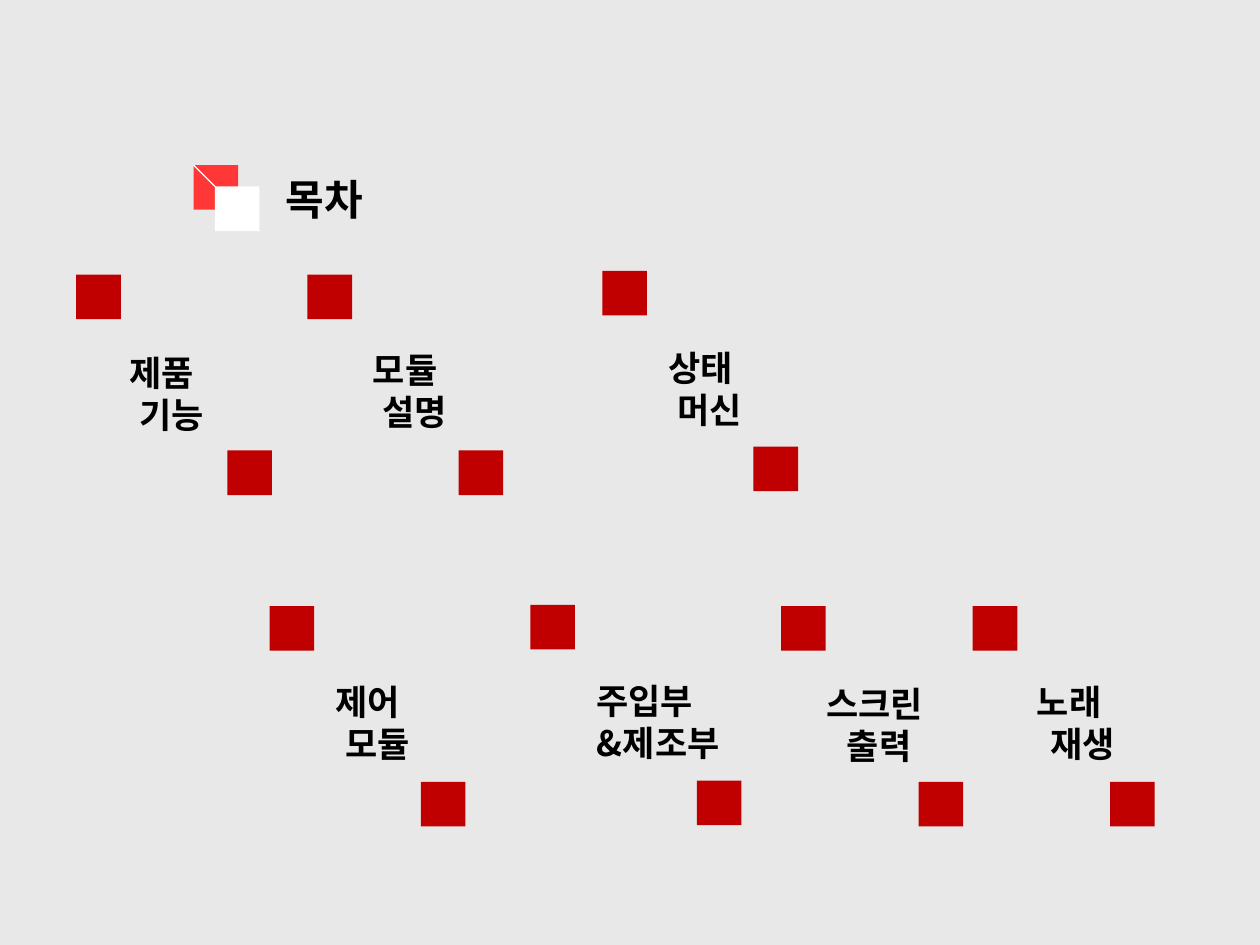
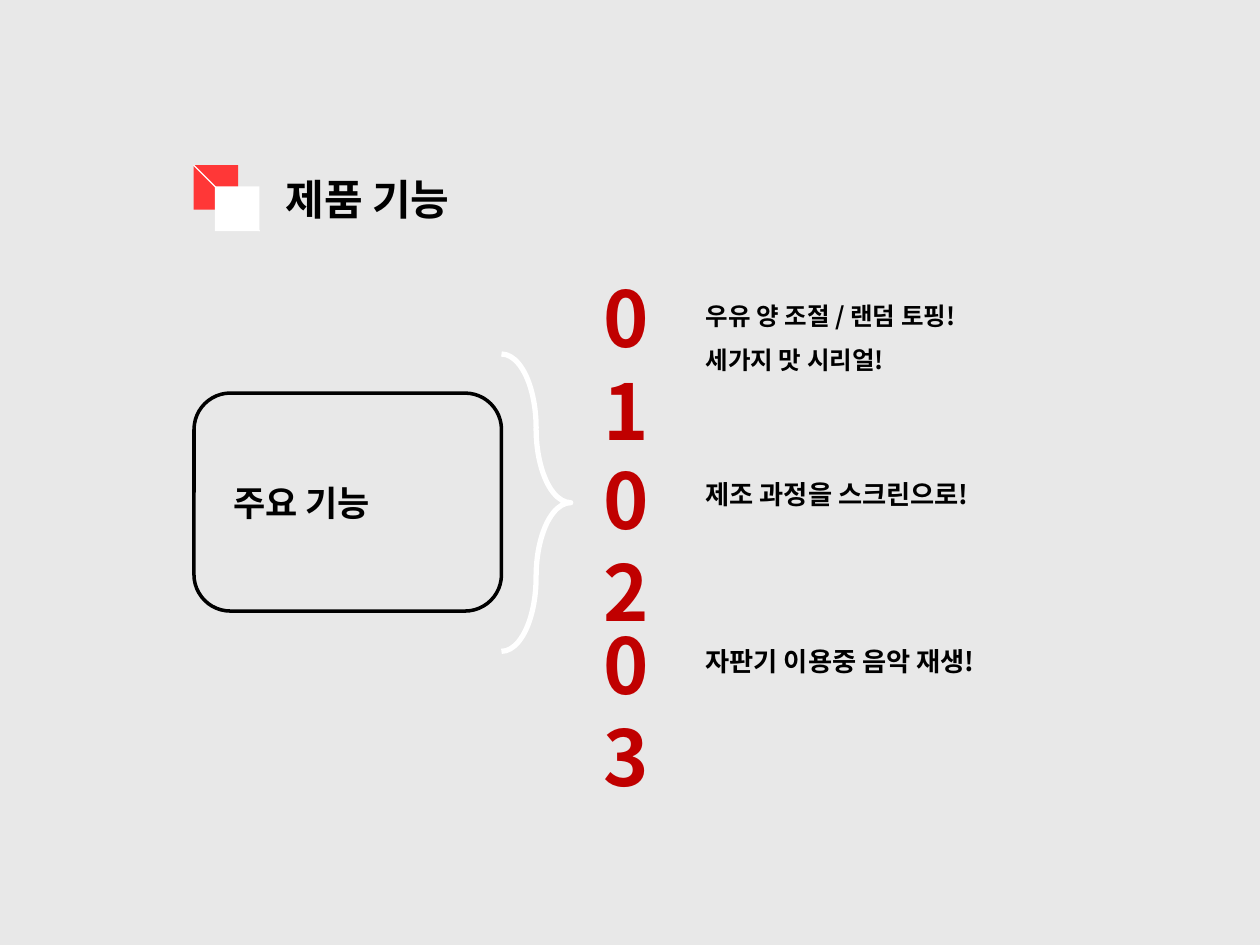
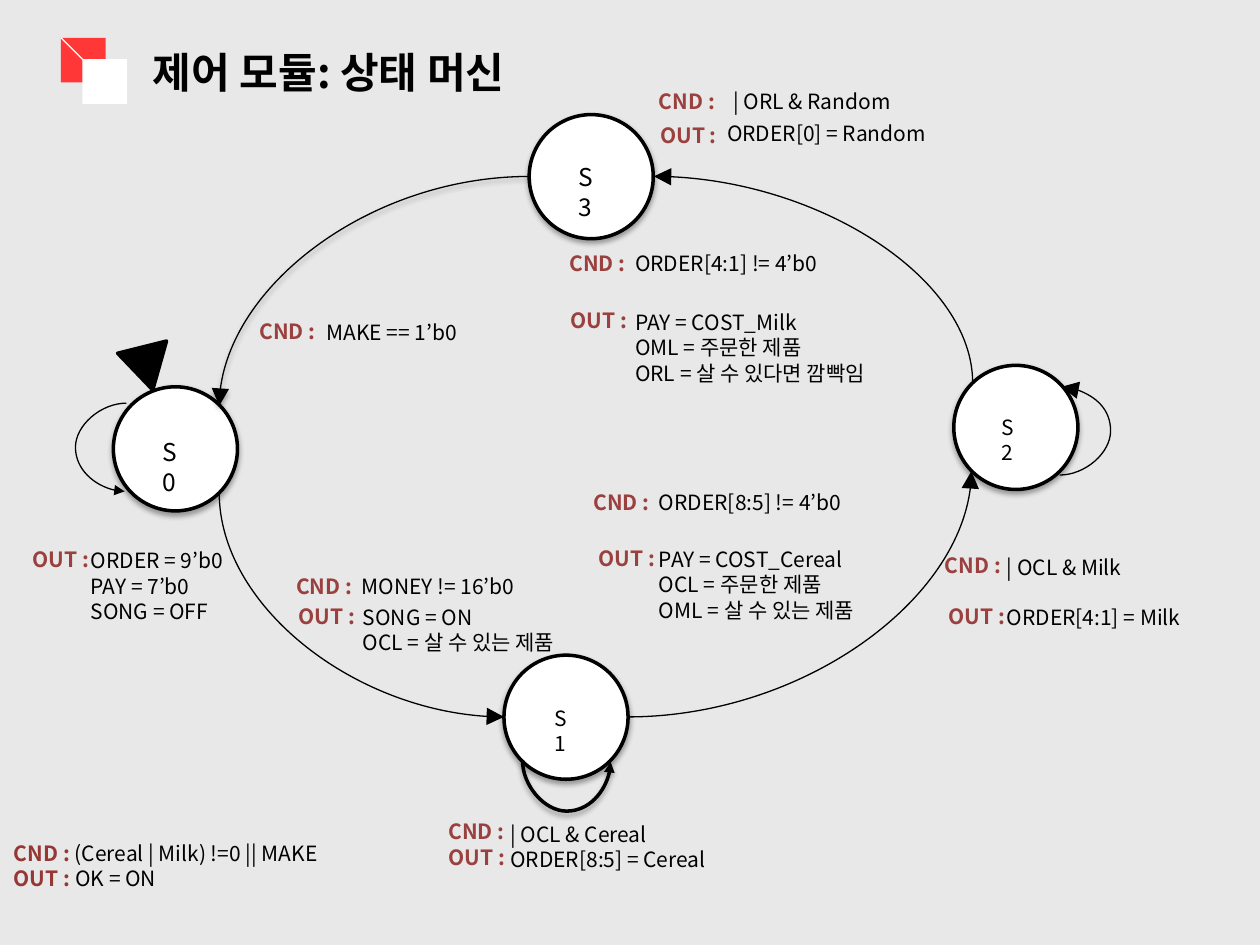
from dataclasses import dataclass

from lxml.etree import SubElement
from pptx import Presentation
from pptx.dml.color import RGBColor
from pptx.enum.shapes import MSO_CONNECTOR, MSO_SHAPE
from pptx.enum.text import MSO_ANCHOR, MSO_AUTO_SIZE, PP_ALIGN
from pptx.oxml.ns import qn
from pptx.util import Emu, Inches, Pt

# Shared look
COLORS = {
    "ground": "E8E8E8", "ink": "000000", "paper": "FFFFFF", "badge": "FF3737",
    "accent": "C00000", "key": "9A403E", "legend": "953735",
}
FONT = "Noto Sans CJK KR"
LINE_HEIGHT = 1.2
TITLE_ONLY = 5

# Grid of 100 columns by 75 rows; every length below counts its cells
SLIDE_WIDTH, SLIDE_HEIGHT = Inches(10), Inches(7.5)
COLUMN, ROW = SLIDE_WIDTH / 100, SLIDE_HEIGHT / 75
SQUARE = 3.54
INSET = 0.5


@dataclass(frozen=True)
class Type:
    size: float
    color: str = "ink"
    bold: bool = False
    leading: float = 1
    align: PP_ALIGN = PP_ALIGN.LEFT


@dataclass(frozen=True)
class Topic:
    left: float
    top: float
    span: float
    centre: float
    drop: float
    first: str
    second: str
    indent: float


@dataclass(frozen=True)
class Feature:
    number: str
    top: float
    text: str
    text_top: float
    size: float


@dataclass(frozen=True)
class State:
    name: str
    left: float
    top: float
    name_left: float
    name_top: float
    size: float


@dataclass(frozen=True)
class Curve:
    left: float
    top: float
    width: float
    height: float
    rotation: int = 0
    flip: str = ""
    bulge: float = 0
    weight: float = 0.75
    arrow_end: str = "tailEnd"
    arrow_size: str = "lg"
    shadowed: bool = False


@dataclass(frozen=True)
class Note:
    left: float
    top: float
    lines: tuple[str, ...]
    gap: float = 0


TITLE = Type(24, bold=True)
TOPIC = Type(20, bold=True, align=PP_ALIGN.CENTER)
NUMBER = Type(44, "accent", True)
KEY = Type(12, "key", True)
BODY = Type(12)

TOPICS = [
    Topic(6.05, 21.8, 12, 6.8, 5.6, "제품", "기능", 1.5),
    Topic(24.4, 21.8, 12, 7.75, 5.4, "모듈", "설명", 1.5),
    Topic(47.8, 21.5, 12, 7.8, 5.5, "상태", "머신", 1.5),
    Topic(21.4, 48.1, 12, 7.8, 5.4, "제어", "모듈", 1.5),
    Topic(42.1, 48, 13.2, 9.05, 5.4, "주입부", "&제조부", 2.2),
    Topic(62, 48.1, 10.9, 7.4, 5.6, "스크린", "출력", 0.75),
    Topic(77.2, 48.1, 10.9, 7.65, 5.4, "노래", "재생", 2.2),
]

FEATURES = [
    Feature("01", 21, "우유 양 조절 / 랜덤 토핑!\n세가지 맛 시리얼!", 22.2, 14),
    Feature("02", 35.4, "제조 과정을 스크린으로!", 36.2, 15),
    Feature("03", 48.5, "자판기 이용중 음악 재생!", 49.5, 15),
]

STATES = [
    State("S0", 9, 30.7, 12.4, 34.2, 14),
    State("S1", 40, 52, 43.5, 55.5, 12),
    State("S2", 75.7, 29, 79, 32.4, 12),
    State("S3", 42, 9.1, 45.4, 12.4, 14),
]

CURVES = [
    # Loops on S2, S0 and S1
    Curve(84.1, 30.7, 0.14, 7, 180, "h", bulge=4),
    Curve(9.9, 32, 0.14, 7, 0, "h", bulge=4, arrow_size="med"),
    Curve(44.9, 56.9, 0.14, 7, 270, "h", bulge=4, weight=2,
          arrow_size="med", shadowed=True),
    # Steps S2-S3, S3-S0, S1-S2 and S0-S1
    Curve(51.9, 14, 25.3, 16.4, arrow_end="headEnd"),
    Curve(17.4, 14, 24.6, 18.2, 180, "v", shadowed=True),
    Curve(49.8, 37.4, 27.3, 19.5, 0, "v"),
    Curve(19.8, 36.7, 17.8, 22.6, 270, "h"),
]

CONDITIONS = [(44.7, 19.4), (20.1, 24.8), (35.1, 64.5), (46.6, 38.4),
              (23, 45), (51.8, 6.5), (74.5, 43.4)]
OUTPUTS = [(2.1, 42.9), (44.8, 23.9), (35.1, 66.5), (47, 42.8),
           (23.2, 47.4), (51.9, 9.2), (74.8, 47.4)]
NOTES = [
    Note(6.7, 43, ("ORDER = 9’b0", "PAY = 7’b0", "SONG = OFF")),
    Note(49.9, 24.1, ("PAY = COST_Milk", "OML = 주문한 제품", "ORL = 살 수 있다면 깜빡임")),
    Note(49.9, 19.4, ("ORDER[4:1] != 4’b0",)),
    Note(25.4, 24.9, ("MAKE == 1’b0",)),
    Note(40, 64.7, ("| OCL & Cereal", "ORDER[8:5] = Cereal")),
    Note(51.8, 38.4, ("ORDER[8:5] != 4’b0",)),
    Note(51.8, 42.9, ("PAY = COST_Cereal", "OCL = 주문한 제품", "OML = 살 수 있는 제품")),
    Note(28.2, 45, ("MONEY != 16’b0",)),
    Note(28.3, 47.5, ("SONG = ON", "OCL = 살 수 있는 제품")),
    Note(57.7, 6.5, ("| ORL & Random",)),
    Note(57.2, 9.1, ("ORDER[0] = Random",)),
    Note(79.4, 43.5, ("| OCL & Milk", "ORDER[4:1] = Milk"), gap=14.4),
]
LEGEND = [("CND : ", "(Cereal | Milk) !=0 || MAKE"), ("OUT : ", "OK = ON")]


def col(count: float) -> Emu:
    return Emu(round(count * COLUMN))


def row(count: float) -> Emu:
    return Emu(round(count * ROW))


def color(name: str) -> RGBColor:
    return RGBColor.from_string(COLORS[name])


# Text
def style(paragraph, kind: Type) -> None:
    paragraph.alignment = kind.align
    paragraph.line_spacing = kind.leading
    font = paragraph.font
    font.size, font.bold, font.name = Pt(kind.size), kind.bold, FONT
    font.color.rgb = color(kind.color)
    defaults = paragraph._p.pPr.find(qn("a:defRPr"))
    SubElement(defaults, qn("a:ea")).set("typeface", FONT)


def prepare(frame) -> None:
    frame.margin_left = frame.margin_right = col(INSET)
    frame.margin_top = frame.margin_bottom = row(INSET)
    frame.word_wrap = True
    frame.auto_size = MSO_AUTO_SIZE.NONE
    frame.vertical_anchor = MSO_ANCHOR.TOP


def add_text(slide, left: float, top: float, width: float,
             lines: tuple[str, ...], kind: Type):
    line_rows = kind.size * kind.leading * LINE_HEIGHT / 7.2
    count = sum(line.count("\n") + 1 for line in lines)
    frame = slide.shapes.add_textbox(
        col(left), row(top), col(width), row(count * line_rows + 2 * INSET)).text_frame
    prepare(frame)
    for index, line in enumerate(lines):
        paragraph = frame.paragraphs[0] if index == 0 else frame.add_paragraph()
        paragraph.text = line
        style(paragraph, kind)
    return frame


# Shapes and lines
def add_form(slide, preset, left: float, top: float, width: float, height: float,
             fill: str | None, line: str | None = None, weight: float = 2):
    form = slide.shapes.add_shape(preset, col(left), row(top), col(width), row(height))
    form.shadow.inherit = False
    if fill:
        form.fill.solid()
        form.fill.fore_color.rgb = color(fill)
    else:
        form.fill.background()
    if line:
        form.line.color.rgb = color(line)
        form.line.width = Pt(weight)
    else:
        form.line.fill.background()
    return form


def add_square(slide, left: float, top: float, fill: str) -> None:
    add_form(slide, MSO_SHAPE.RECTANGLE, left, top, SQUARE, SQUARE, fill)


def add_line(slide, kind, left: float, top: float, width: float, height: float,
             ink: str, weight: float):
    line = slide.shapes.add_connector(
        kind, col(left), row(top), col(left + width), row(top + height))
    line.line.color.rgb = color(ink)
    line.line.width = Pt(weight)
    SubElement(line._element.spPr, qn("a:effectLst"))
    return line


def cast_shadow(form) -> None:
    effects = form._element.spPr.find(qn("a:effectLst"))
    shadow = SubElement(effects, qn("a:outerShdw"), blurRad=str(Pt(3)),
                        dist=str(Pt(1.8)), dir="5400000", rotWithShape="0")
    ink = SubElement(shadow, qn("a:srgbClr"), val=COLORS["ink"])
    SubElement(ink, qn("a:alpha"), val="35000")


def add_curve(slide, curve: Curve) -> None:
    line = add_line(slide, MSO_CONNECTOR.CURVE, curve.left, curve.top,
                    curve.width, curve.height, "ink", curve.weight)
    properties = line._element.spPr
    frame = properties.find(qn("a:xfrm"))
    frame.set("rot", str(curve.rotation * 60000))
    if curve.flip:
        frame.set("flip" + curve.flip.upper(), "1")
    geometry = properties.find(qn("a:prstGeom"))
    if curve.bulge:
        reach = round(curve.bulge / curve.width * 100000)
        SubElement(geometry.find(qn("a:avLst")), qn("a:gd"),
                   name="adj1", fmla=f"val {reach}")
    else:
        geometry.set("prst", "curvedConnector2")
    SubElement(properties.find(qn("a:ln")), qn(f"a:{curve.arrow_end}"),
               type="triangle", w=curve.arrow_size, len=curve.arrow_size)
    if curve.shadowed:
        cast_shadow(line)


# Slide with its title and badge
def add_titled_slide(deck, title: str, left: float = 15.36, top: float = 13.1):
    slide = deck.slides.add_slide(deck.slide_layouts[TITLE_ONLY])
    step = SQUARE * 0.48
    add_square(slide, left, top, "badge")
    add_square(slide, left + step, top + step, "paper")
    add_line(slide, MSO_CONNECTOR.STRAIGHT, left, top,
             SQUARE + step, SQUARE + step, "paper", 0.75)
    heading = slide.shapes.title
    heading.left, heading.top = col(left + 6.8), row(top + 0.2)
    heading.width, heading.height = col(40), row(5)
    prepare(heading.text_frame)
    heading.text_frame.text = title
    style(heading.text_frame.paragraphs[0], TITLE)
    return slide


def build_contents(deck) -> None:
    slide = add_titled_slide(deck, "목차")
    width = 16
    for topic in TOPICS:
        add_square(slide, topic.left, topic.top, "accent")
        add_square(slide, topic.left + topic.span, topic.top + 13.95, "accent")
        frame = add_text(slide, topic.left + topic.centre - width / 2,
                         topic.top + topic.drop, width,
                         (topic.first, topic.second), TOPIC)
        frame.paragraphs[1]._p.pPr.set("marL", str(col(topic.indent)))


def build_features(deck) -> None:
    slide = add_titled_slide(deck, "제품 기능")
    # Main box and brace
    panel = add_form(slide, MSO_SHAPE.ROUNDED_RECTANGLE,
                     15.4, 31.2, 24.4, 17.3, "ground", "ink")
    panel.adjustments[0] = 0.167
    add_text(slide, 18, 36.1, 20, ("주요 기능",), Type(20, bold=True, leading=1.5))
    brace = add_form(slide, MSO_SHAPE.RIGHT_BRACE,
                     39.8, 28.1, 5.5, 23.6, None, "paper", 3)
    brace.adjustments[0], brace.adjustments[1] = 1.07, 0.5
    # Numbered features
    for feature in FEATURES:
        add_text(slide, 47.4, feature.top, 7, (feature.number,), NUMBER)
        add_text(slide, 55.5, feature.text_top, 30, (feature.text,),
                 Type(feature.size, bold=True, leading=1.5))


def build_state_machine(deck) -> None:
    slide = add_titled_slide(deck, "제어 모듈: 상태 머신", 4.84, 3)
    # States, start mark and transitions
    for state in STATES:
        circle = add_form(slide, MSO_SHAPE.OVAL, state.left, state.top,
                          9.85, 9.85, "paper", "ink")
        cast_shadow(circle)
        add_text(slide, state.name_left, state.name_top, 2.6,
                 (state.name,), Type(state.size))
    start = add_form(slide, MSO_SHAPE.ISOSCELES_TRIANGLE, 9.7, 27.5, 4, 3.5, "ink", "ink")
    start.rotation = 166
    for curve in CURVES:
        add_curve(slide, curve)
    # Conditions and outputs
    for word, places in (("CND :", CONDITIONS), ("OUT :", OUTPUTS)):
        for left, top in places:
            add_text(slide, left, top, 8, (word,), KEY)
    for note in NOTES:
        frame = add_text(slide, note.left, note.top, 20.5, note.lines, BODY)
        for paragraph in frame.paragraphs[1:]:
            paragraph.space_before = Pt(note.gap)
    # Legend
    legend = add_text(slide, 0.6, 66.2, 30.2, ("",) * len(LEGEND), BODY)
    for paragraph, (word, meaning) in zip(legend.paragraphs, LEGEND):
        key = paragraph.add_run()
        key.text = word
        key.font.bold = True
        key.font.color.rgb = color("legend")
        paragraph.add_run().text = meaning


def main() -> None:
    deck = Presentation()
    deck.slide_width, deck.slide_height = SLIDE_WIDTH, SLIDE_HEIGHT
    ground = deck.slide_master.background.fill
    ground.solid()
    ground.fore_color.rgb = color("ground")
    build_contents(deck)
    build_features(deck)
    build_state_machine(deck)
    deck.save("out.pptx")


if __name__ == "__main__":
    main()
